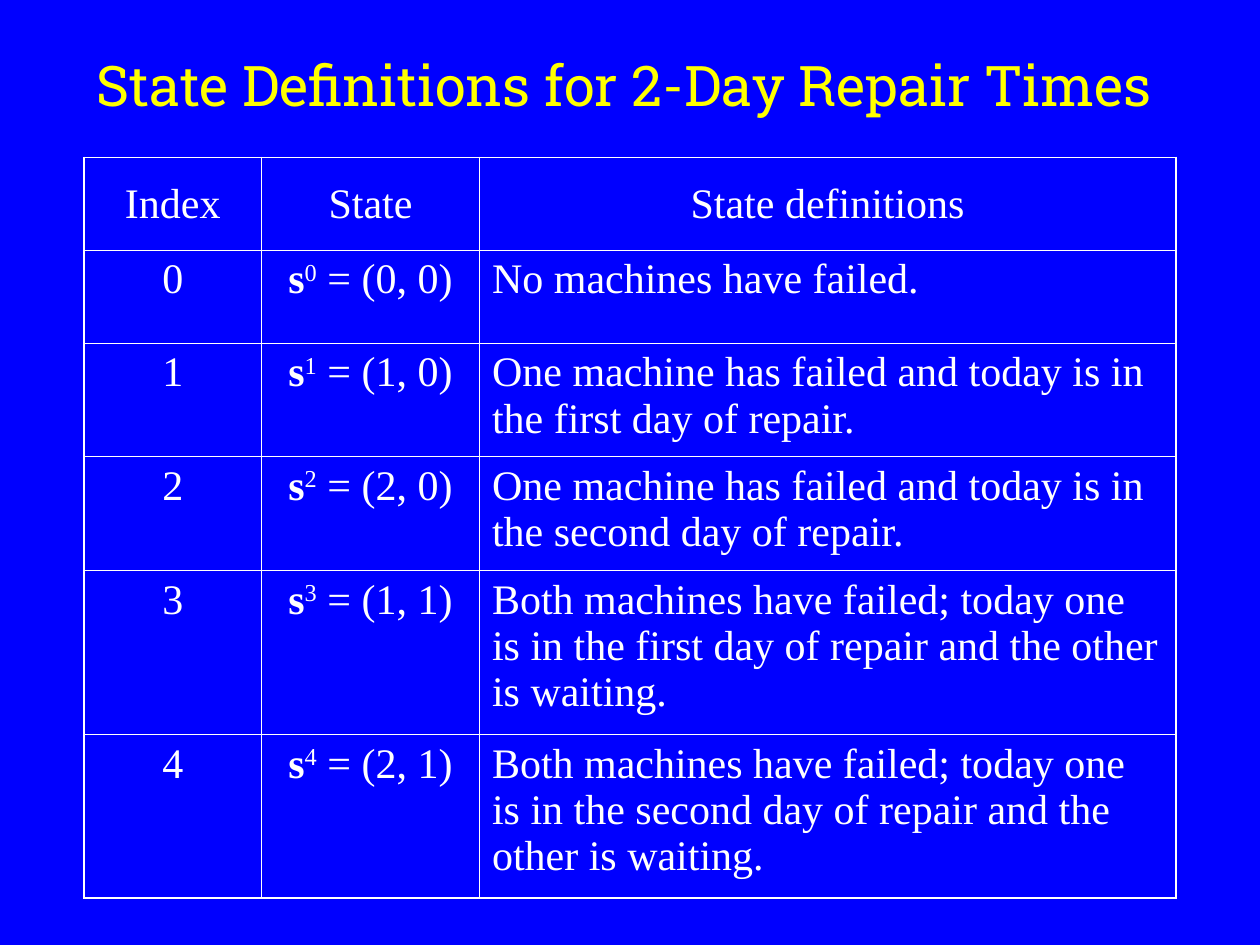
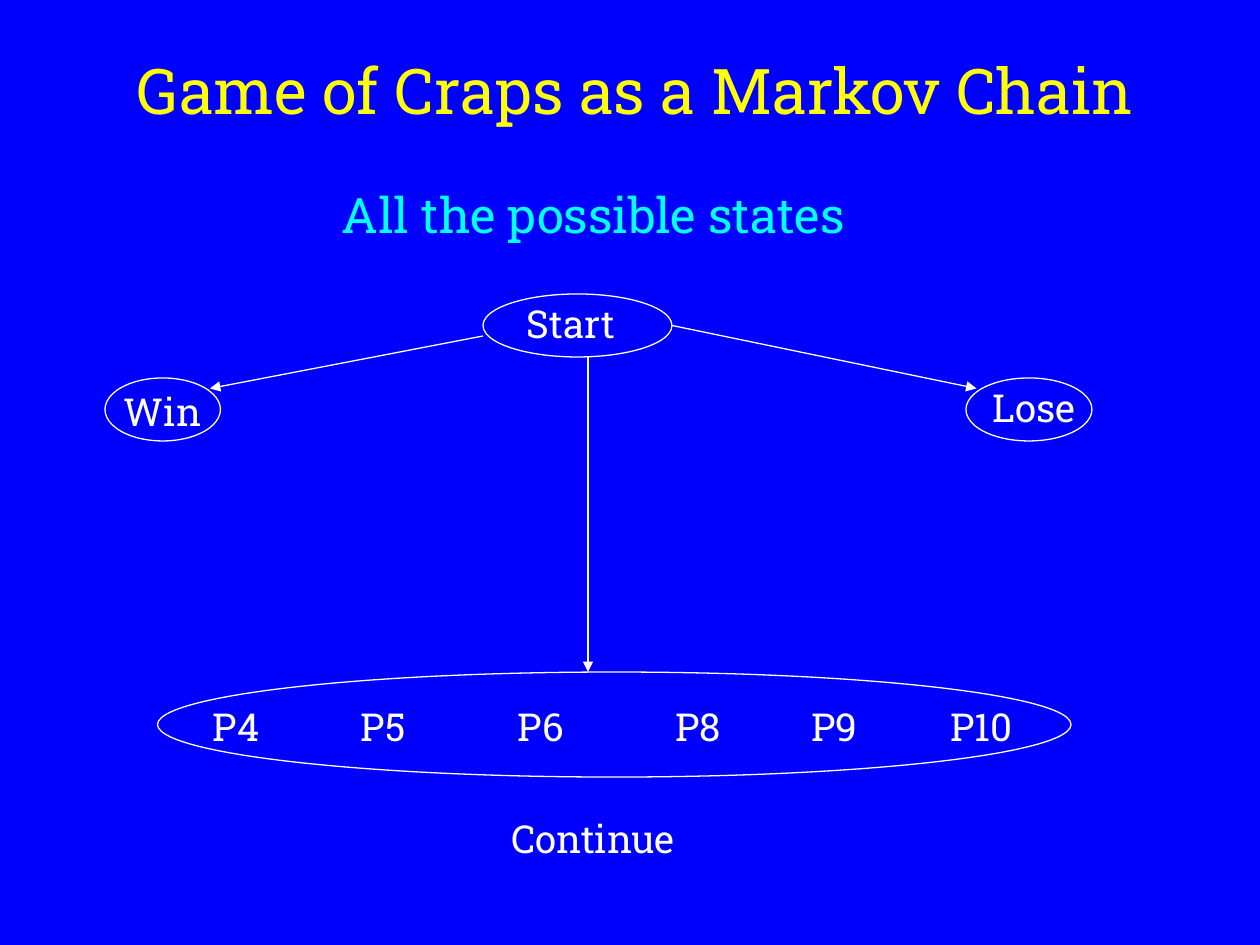
from dataclasses import dataclass

from lxml import etree
from pptx import Presentation
from pptx.dml.color import RGBColor
from pptx.enum.shapes import MSO_CONNECTOR, MSO_SHAPE
from pptx.enum.text import MSO_ANCHOR, MSO_AUTO_SIZE, PP_ALIGN
from pptx.oxml.ns import qn
from pptx.util import Pt

LEFT, CENTER = PP_ALIGN.LEFT, PP_ALIGN.CENTER
TOP, MIDDLE = MSO_ANCHOR.TOP, MSO_ANCHOR.MIDDLE
FIT_SHAPE = MSO_AUTO_SIZE.SHAPE_TO_FIT_TEXT
ELLIPSE = MSO_SHAPE.OVAL
STRAIGHT = MSO_CONNECTOR.STRAIGHT

COLORS = {
    "background": "0000FF",
    "title": "FFFF00",
    "subtitle": "00FFFF",
    "text": "FFFFFF",
    "line": "FFFFFF",
}
HEADING_FONT = "Roboto Slab"
TABLE_FONT = "Times New Roman"
TABLE_SIZE = 24
OUTER_BORDER, INNER_BORDER = 1.08, 0.45
LINE_WIDTH = 0.75
LABEL_SIZE = 22
LABEL_WIDTH, LABEL_HEIGHT = 102, 34


@dataclass(frozen=True)
class Label:
    text: str
    left: float
    top: float
    width: float = LABEL_WIDTH
    height: float = LABEL_HEIGHT
    size: float = LABEL_SIZE
    color: str = "text"
    align: PP_ALIGN = CENTER


@dataclass(frozen=True)
class Oval:
    left: float
    top: float
    width: float
    height: float


@dataclass(frozen=True)
class Arrow:
    start: tuple[float, float]
    end: tuple[float, float]


@dataclass(frozen=True)
class State:
    vector: str
    definition: str
    height: float


HEADERS = ("Index", "State", "State definitions")
HEADER_HEIGHT = 53
COLUMN_WIDTHS = (101.5, 124.5, 398)
STATES = (
    State("(0, 0)", "No machines have failed.", 53),
    State("(1, 0)", "One machine has failed and today is in the first day of repair.", 65),
    State("(2, 0)", "One machine has failed and today is in the second day of repair.", 65),
    State(
        "(1, 1)",
        "Both machines have failed; today one is in the first day of repair "
        "and the other is waiting.",
        93.7,
    ),
    State(
        "(2, 1)",
        "Both machines have failed; today one is in the second day of repair "
        "and the other is waiting.",
        93.7,
    ),
)

POINT_LEFTS = {"P4": 84, "P5": 168, "P6": 258, "P8": 348, "P9": 426, "P10": 510}
POINTS_TOP = 398
CRAPS_LABELS = (
    Label("All the possible states", 162, 102, 354, 41, 28, "subtitle"),
    Label("Start", 294, 168, align=LEFT),
    Label("Win", 42, 218),
    Label("Lose", 540, 216),
    *(Label(point, left, POINTS_TOP) for point, left in POINT_LEFTS.items()),
    Label("Continue", 270, 462, 138),
)
CRAPS_OVALS = (
    Oval(90, 384, 522, 60),
    Oval(60, 216, 66, 36),
    Oval(552, 216, 72, 36),
    Oval(276, 168, 108, 36),
)
CRAPS_ARROWS = (
    Arrow((276, 192), (120, 222)),
    Arrow((384, 186), (558, 222)),
    Arrow((336, 204), (336, 384)),
)


def rgb(name: str) -> RGBColor:
    return RGBColor.from_string(COLORS[name])


def add_run(paragraph, text: str, font: str, size: float, color: str = "text"):
    run = paragraph.add_run()
    run.text = text
    run.font.name = font
    run.font.size = Pt(size)
    run.font.color.rgb = rgb(color)
    return run


def add_label(slide, label: Label):
    box = slide.shapes.add_textbox(
        Pt(label.left), Pt(label.top), Pt(label.width), Pt(label.height)
    )
    frame = box.text_frame
    frame.word_wrap = True
    frame.auto_size = FIT_SHAPE
    paragraph = frame.paragraphs[0]
    paragraph.alignment = label.align
    add_run(paragraph, label.text, HEADING_FONT, label.size, label.color)
    return box


def add_titled_slide(presentation, title: Label):
    slide = presentation.slides.add_slide(presentation.slide_layouts[6])
    slide.background.fill.solid()
    slide.background.fill.fore_color.rgb = rgb("background")
    frame = add_label(slide, title).text_frame
    frame.auto_size = MSO_AUTO_SIZE.NONE
    frame.vertical_anchor = MIDDLE
    return slide


def add_oval(slide, oval: Oval) -> None:
    shape = slide.shapes.add_shape(
        ELLIPSE, Pt(oval.left), Pt(oval.top), Pt(oval.width), Pt(oval.height)
    )
    shape.shadow.inherit = False
    shape.fill.background()
    shape.line.color.rgb = rgb("line")
    shape.line.width = Pt(LINE_WIDTH)


def add_arrow(slide, arrow: Arrow) -> None:
    points = (Pt(value) for value in (*arrow.start, *arrow.end))
    connector = slide.shapes.add_connector(STRAIGHT, *points)
    connector.line.color.rgb = rgb("line")
    connector.line.width = Pt(LINE_WIDTH)
    properties = connector._element.spPr
    etree.SubElement(properties.find(qn("a:ln")), qn("a:tailEnd"), type="triangle")
    etree.SubElement(properties, qn("a:effectLst"))


def set_borders(cell, outer_sides: dict[str, bool]) -> None:
    properties = cell._tc.get_or_add_tcPr()
    for position, (side, is_outer) in enumerate(outer_sides.items()):
        width = Pt(OUTER_BORDER if is_outer else INNER_BORDER)
        line = etree.Element(qn(f"a:ln{side}"), w=str(width))
        fill = etree.SubElement(line, qn("a:solidFill"))
        etree.SubElement(fill, qn("a:srgbClr"), val=COLORS["line"])
        properties.insert(position, line)


def write_cell(cell, text: str, align: PP_ALIGN, anchor: MSO_ANCHOR) -> None:
    cell.vertical_anchor = anchor
    paragraph = cell.text_frame.paragraphs[0]
    paragraph.alignment = align
    add_run(paragraph, text, TABLE_FONT, TABLE_SIZE)


def write_state(cell, index: int, vector: str) -> None:
    write_cell(cell, "s", CENTER, TOP)
    paragraph = cell.text_frame.paragraphs[0]
    paragraph.runs[0].font.bold = True
    exponent = add_run(paragraph, str(index), TABLE_FONT, TABLE_SIZE)
    exponent.font._element.set("baseline", "30000")
    add_run(paragraph, f" = {vector}", TABLE_FONT, TABLE_SIZE)


def add_state_table(slide) -> None:
    heights = (HEADER_HEIGHT, *(state.height for state in STATES))
    table = slide.shapes.add_table(
        len(heights), len(HEADERS), Pt(48), Pt(90), Pt(sum(COLUMN_WIDTHS)), Pt(sum(heights))
    ).table
    table.first_row = False
    table.horz_banding = False
    for column, width in zip(table.columns, COLUMN_WIDTHS):
        column.width = Pt(width)
    for row, height in zip(table.rows, heights):
        row.height = Pt(height)

    for column, header in enumerate(HEADERS):
        write_cell(table.cell(0, column), header, CENTER, MIDDLE)
    for index, state in enumerate(STATES):
        index_cell, state_cell, definition_cell = table.rows[index + 1].cells
        write_cell(index_cell, str(index), CENTER, TOP)
        write_state(state_cell, index, state.vector)
        write_cell(definition_cell, state.definition, LEFT, TOP)

    for row in range(len(heights)):
        for column in range(len(HEADERS)):
            cell = table.cell(row, column)
            cell.fill.background()
            set_borders(cell, {
                "L": column == 0,
                "R": column == len(HEADERS) - 1,
                "T": row == 0,
                "B": row == len(heights) - 1,
            })


def build_states_slide(presentation) -> None:
    title = Label("State Definitions for 2-Day Repair Times", 18, 18, 678, 60, 32, "title")
    add_state_table(add_titled_slide(presentation, title))


def build_craps_slide(presentation) -> None:
    title = Label("Game of Craps as a Markov Chain", 42, 18, 642, 66, 36, "title")
    slide = add_titled_slide(presentation, title)
    for label in CRAPS_LABELS:
        add_label(slide, label)
    for oval in CRAPS_OVALS:
        add_oval(slide, oval)
    for arrow in CRAPS_ARROWS:
        add_arrow(slide, arrow)


def main() -> None:
    presentation = Presentation()
    presentation.slide_width = Pt(720)
    presentation.slide_height = Pt(540)
    build_states_slide(presentation)
    build_craps_slide(presentation)
    presentation.save("out.pptx")


if __name__ == "__main__":
    main()
